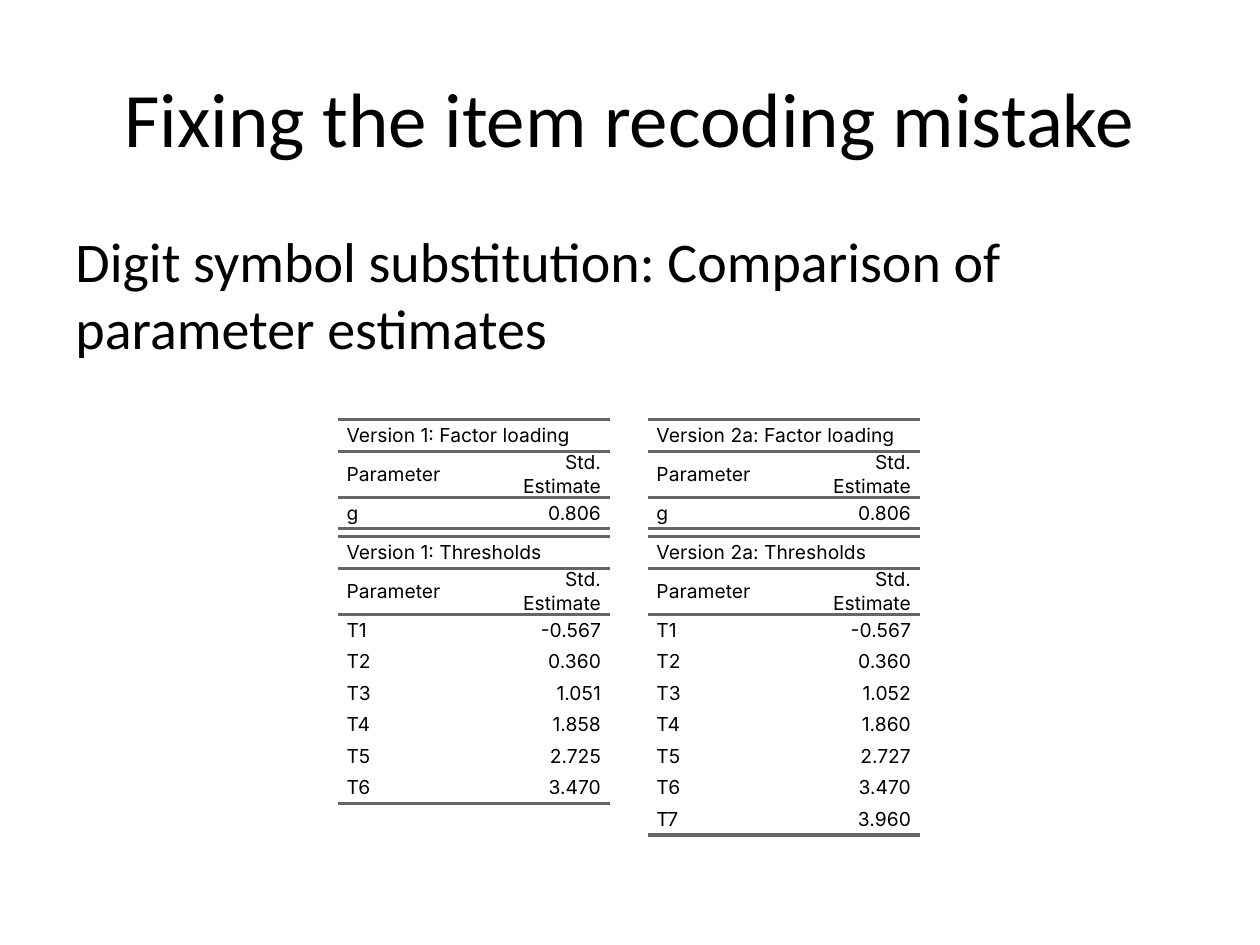
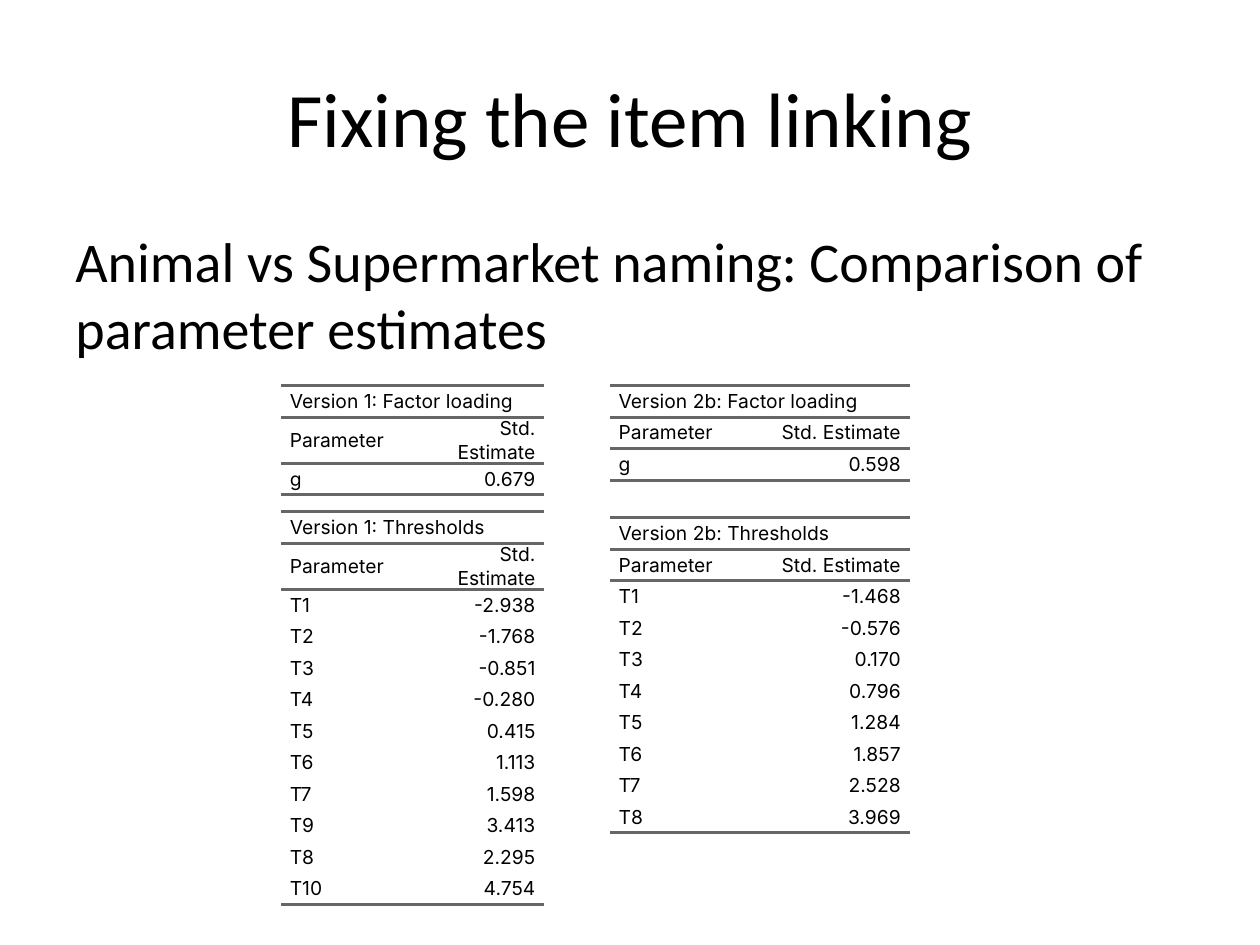
from dataclasses import dataclass

from lxml import etree
from pptx import Presentation
from pptx.dml.color import RGBColor
from pptx.enum.text import MSO_ANCHOR, PP_ALIGN
from pptx.oxml.ns import qn
from pptx.util import Inches, Pt

TOP, MIDDLE = MSO_ANCHOR.TOP, MSO_ANCHOR.MIDDLE
LEFT, CENTER, RIGHT = PP_ALIGN.LEFT, PP_ALIGN.CENTER, PP_ALIGN.RIGHT

INK, RULE = "000000", "666666"
RULE_WIDTH = Pt(2)
PLAIN_TABLE_STYLE = "{2D5ABB26-0587-4C30-8999-92F81FD0307C}"
ROW_HEIGHT = Inches(0.25)
CELL_INDENT = Inches(0.07)
BLANK_LAYOUT = 6

TITLE_FONT = {"name": "Calibri", "size": Pt(44)}
SUBTITLE_FONT = {"name": "Calibri", "size": Pt(32)}
TABLE_FONT = {"name": "Inter", "size": Pt(11)}
CELL_FORMAT = {"margin_left": 0, "margin_right": 0, "margin_top": 0,
               "margin_bottom": 0, "vertical_anchor": MIDDLE}
CELL_SPACING = {"space_before": Pt(5), "space_after": Pt(5)}


@dataclass
class ModelVersion:
    """The estimates of one model version: a loading above its thresholds."""
    name: str
    left: float
    loading_top: float
    thresholds_top: float
    column_width: float
    loading: str
    thresholds: list[tuple[str, str]]


@dataclass
class Comparison:
    """One slide that sets model versions side by side."""
    title: str
    subtitle: str
    versions: list[ModelVersion]


def numbered(*estimates: str) -> list[tuple[str, str]]:
    """Label estimates T1, T2 and so on."""
    return [(f"T{number}", estimate)
            for number, estimate in enumerate(estimates, 1)]


COMPARISONS = [
    Comparison(
        "Fixing the item recoding mistake",
        "Digit symbol substitution: Comparison of parameter estimates",
        [
            ModelVersion("Version 1", 2.68, 3.33, 4.26, 1.08, "0.806", numbered(
                "-0.567", "0.360", "1.051", "1.858", "2.725", "3.470")),
            ModelVersion("Version 2a", 5.14, 3.33, 4.26, 1.08, "0.806", numbered(
                "-0.567", "0.360", "1.052", "1.860", "2.727", "3.470", "3.960")),
        ]),
    Comparison(
        "Fixing the item linking",
        "Animal vs Supermarket naming: Comparison of parameter estimates",
        [
            ModelVersion("Version 1", 2.23, 3.06, 4.06, 1.045, "0.679", numbered(
                "-2.938", "-1.768", "-0.851", "-0.280", "0.415", "1.113", "1.598")
                + [("T9", "3.413"), ("T8", "2.295"), ("T10", "4.754")]),
            ModelVersion("Version 2b", 4.84, 3.06, 4.11, 1.19, "0.598", numbered(
                "-1.468", "-0.576", "0.170", "0.796",
                "1.284", "1.857", "2.528", "3.969")),
        ]),
]


def color(hex_code: str) -> RGBColor:
    """Turn a hex string into a colour."""
    return RGBColor.from_string(hex_code)


def apply_format(target, values: dict) -> None:
    """Set each attribute named in a dict of format values."""
    for attribute, value in values.items():
        setattr(target, attribute, value)


def write(paragraph, text: str, font: dict, alignment) -> None:
    """Put one run of ink-coloured text in a paragraph."""
    paragraph.alignment = alignment
    run = paragraph.add_run()
    run.text = text
    apply_format(run.font, font)
    run.font.color.rgb = color(INK)


def add_heading(slide, text: str, top: float, height: float, font: dict,
                alignment, anchor, space_before=Pt(0)) -> None:
    """Add a text box across the full content width."""
    box = slide.shapes.add_textbox(
        Inches(0.5), Inches(top), Inches(9), Inches(height))
    apply_format(box.text_frame, {"word_wrap": True, "vertical_anchor": anchor})
    paragraph = box.text_frame.paragraphs[0]
    paragraph.space_before = space_before
    write(paragraph, text, font, alignment)


def set_borders(cell, ruled_edges: set[str]) -> None:
    """Rule the given cell edges and clear the others."""
    properties = cell._tc.get_or_add_tcPr()
    for edge in ("lnL", "lnR", "lnT", "lnB"):
        line = etree.SubElement(properties, qn(f"a:{edge}"))
        if edge in ruled_edges:
            line.set("w", str(RULE_WIDTH))
            fill = etree.SubElement(line, qn("a:solidFill"))
            etree.SubElement(fill, qn("a:srgbClr"), val=RULE)
        else:
            line.set("w", "0")
            etree.SubElement(line, qn("a:noFill"))


def fill_cell(cell, text: str, alignment) -> None:
    """Write one table cell with the shared spacing and indents."""
    apply_format(cell, CELL_FORMAT)
    cell.fill.background()
    paragraph = cell.text_frame.paragraphs[0]
    apply_format(paragraph, CELL_SPACING)
    write(paragraph, text, TABLE_FONT, alignment)
    indents = paragraph._p.get_or_add_pPr()
    for side in ("marL", "marR"):
        indents.set(side, str(CELL_INDENT))


def add_estimates(slide, caption: str, left: float, top: float,
                  column_width: float, estimates: list[tuple[str, str]]) -> None:
    """Add a ruled table: caption, column heads, then the estimates."""
    rows = [(caption, ""), ("Parameter", "Std. Estimate"), *estimates]
    frame = slide.shapes.add_table(
        len(rows), 2, Inches(left), Inches(top),
        Inches(2 * column_width), ROW_HEIGHT * len(rows))
    table = frame.table
    apply_format(table, {"first_row": False, "horz_banding": False})
    table._tbl.tblPr.find(qn("a:tableStyleId")).text = PLAIN_TABLE_STYLE
    for column in table.columns:
        column.width = Inches(column_width)
    table.cell(0, 0).merge(table.cell(0, 1))

    for index, row in enumerate(rows):
        table.rows[index].height = ROW_HEIGHT
        ruled_edges = set()
        if index <= 2:
            ruled_edges.add("lnT")
        if index <= 1 or index == len(rows) - 1:
            ruled_edges.add("lnB")
        for column, (text, alignment) in enumerate(zip(row, (LEFT, RIGHT))):
            cell = table.cell(index, column)
            set_borders(cell, ruled_edges)
            if not cell.is_spanned:
                fill_cell(cell, text, alignment)


def add_comparison(deck, comparison: Comparison) -> None:
    """Add one slide with its headings and its versions' tables."""
    slide = deck.slides.add_slide(deck.slide_layouts[BLANK_LAYOUT])
    add_heading(slide, comparison.title, 0.3, 1.25, TITLE_FONT, CENTER, MIDDLE)
    add_heading(slide, comparison.subtitle, 1.75, 4.95, SUBTITLE_FONT, LEFT, TOP,
                space_before=Pt(6.4))
    for version in comparison.versions:
        add_estimates(slide, f"{version.name}: Factor loading", version.left,
                      version.loading_top, version.column_width,
                      [("g", version.loading)])
        add_estimates(slide, f"{version.name}: Thresholds", version.left,
                      version.thresholds_top, version.column_width,
                      version.thresholds)


def main() -> None:
    """Build and save the deck."""
    deck = Presentation()
    apply_format(deck, {"slide_width": Inches(10), "slide_height": Inches(7.5)})
    for comparison in COMPARISONS:
        add_comparison(deck, comparison)
    deck.save("out.pptx")


main()
